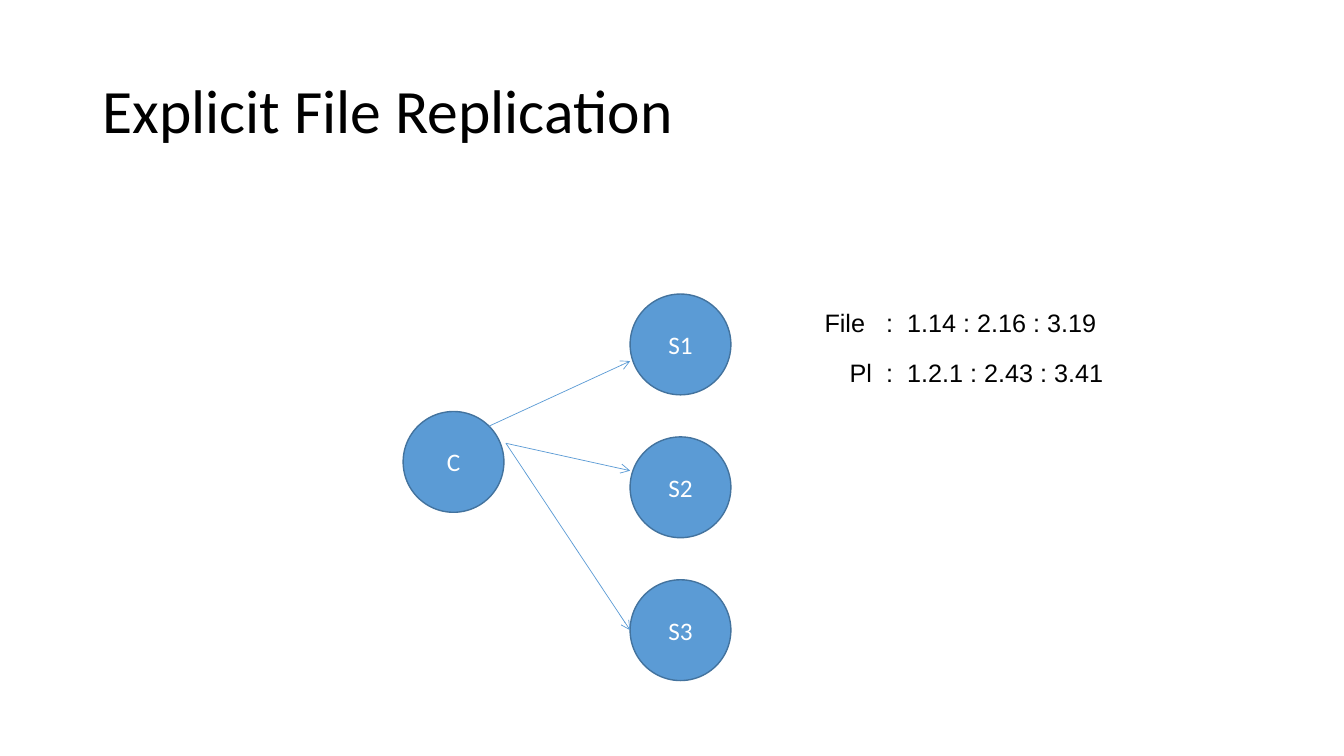
from lxml import etree
from pptx import Presentation
from pptx import util as u
from pptx.dml.color import RGBColor
from pptx.enum import shapes, text
from pptx.oxml import ns

BLACK = RGBColor(0x00, 0x00, 0x00)
WHITE = RGBColor(0xFF, 0xFF, 0xFF)
BLUE = RGBColor(0x5B, 0x9B, 0xD5)
DARK_BLUE = RGBColor(0x43, 0x73, 0x9E)
NODE_SIZE = u.Cm(2.54)


def set_font(paragraph, name, size, color):
    paragraph.font.name = name
    paragraph.font.size = u.Pt(size)
    paragraph.font.color.rgb = color


def add_title(slide, left, top, width, height):
    title = slide.shapes.title
    title.left, title.top, title.width, title.height = left, top, width, height
    title.text_frame.text = "Explicit File Replication"
    title.text_frame.vertical_anchor = text.MSO_ANCHOR.MIDDLE
    heading = title.text_frame.paragraphs[0]
    heading.alignment = text.PP_ALIGN.LEFT
    heading.line_spacing = 0.9
    set_font(heading, "Calibri", 44, BLACK)


def add_node(slide, label, left, top):
    node = slide.shapes.add_shape(
        shapes.MSO_SHAPE.OVAL, left, top, NODE_SIZE, NODE_SIZE)
    node.shadow.inherit = False
    node.fill.solid()
    node.fill.fore_color.rgb = BLUE
    node.line.color.rgb = DARK_BLUE
    node.line.width = u.Pt(1)
    node.text_frame.text = label
    node.text_frame.vertical_anchor = text.MSO_ANCHOR.MIDDLE
    caption = node.text_frame.paragraphs[0]
    caption.alignment = text.PP_ALIGN.CENTER
    set_font(caption, "Calibri", 18, WHITE)


def add_arrow(slide, start_x, start_y, end_x, end_y):
    arrow = slide.shapes.add_connector(
        shapes.MSO_CONNECTOR.STRAIGHT, start_x, start_y, end_x, end_y)
    arrow.line.color.rgb = BLUE
    arrow.line.width = u.Pt(0.5)
    etree.SubElement(arrow.line._get_or_add_ln(), ns.qn("a:tailEnd"), type="arrow")
    etree.SubElement(arrow._element.spPr, ns.qn("a:effectLst"))


def add_replication(slide, left, top):
    server_left = left + u.Cm(5.72)
    server_step = u.Cm(3.6)
    add_node(slide, "C", left, top + u.Cm(2.96))
    for index, server in enumerate(("S1", "S2", "S3")):
        add_node(slide, server, server_left, top + index * server_step)
    for start_x, start_y, end_y in (
            (2.16, 3.33, 1.69), (2.59, 3.76, 4.45), (2.59, 3.76, 8.47)):
        add_arrow(slide, left + u.Cm(start_x), top + u.Cm(start_y),
                  server_left, top + u.Cm(end_y))


def add_entry(slide, words, tab_stops, left, top, width, height):
    entry = slide.shapes.add_textbox(left, top, width, height)
    entry.text_frame.word_wrap = False
    entry.text_frame.auto_size = text.MSO_AUTO_SIZE.SHAPE_TO_FIT_TEXT
    entry.text_frame.text = words
    line = entry.text_frame.paragraphs[0]
    set_font(line, "Arial", 18, BLACK)
    tabs = etree.Element(ns.qn("a:tabLst"))
    for stop in tab_stops:
        etree.SubElement(tabs, ns.qn("a:tab"), pos=str(u.Cm(stop)), algn="l")
    line._p.get_or_add_pPr().insert(0, tabs)


def add_file_entries(slide, left, top):
    height = u.Cm(1.02)
    add_entry(slide, "File\t:\t1.14 : 2.16 : 3.19", (1.55, 2.08),
              left, top, u.Cm(7.42), height)
    add_entry(slide, "Pl\t:\t1.2.1 : 2.43 : 3.41", (0.92, 1.45),
              left + u.Cm(0.63), top + u.Cm(1.27), u.Cm(6.96), height)


def main():
    deck = Presentation()
    deck.slide_width, deck.slide_height = u.Cm(33.87), u.Cm(19.05)
    slide = deck.slides.add_slide(deck.slide_layouts[5])
    add_title(slide, u.Cm(2.33), u.Cm(1.01), u.Cm(29.21), u.Cm(3.68))
    add_replication(slide, u.Cm(10.16), u.Cm(7.41))
    add_file_entries(slide, u.Cm(20.53), u.Cm(7.62))
    deck.save("out.pptx")


if __name__ == "__main__":
    main()
